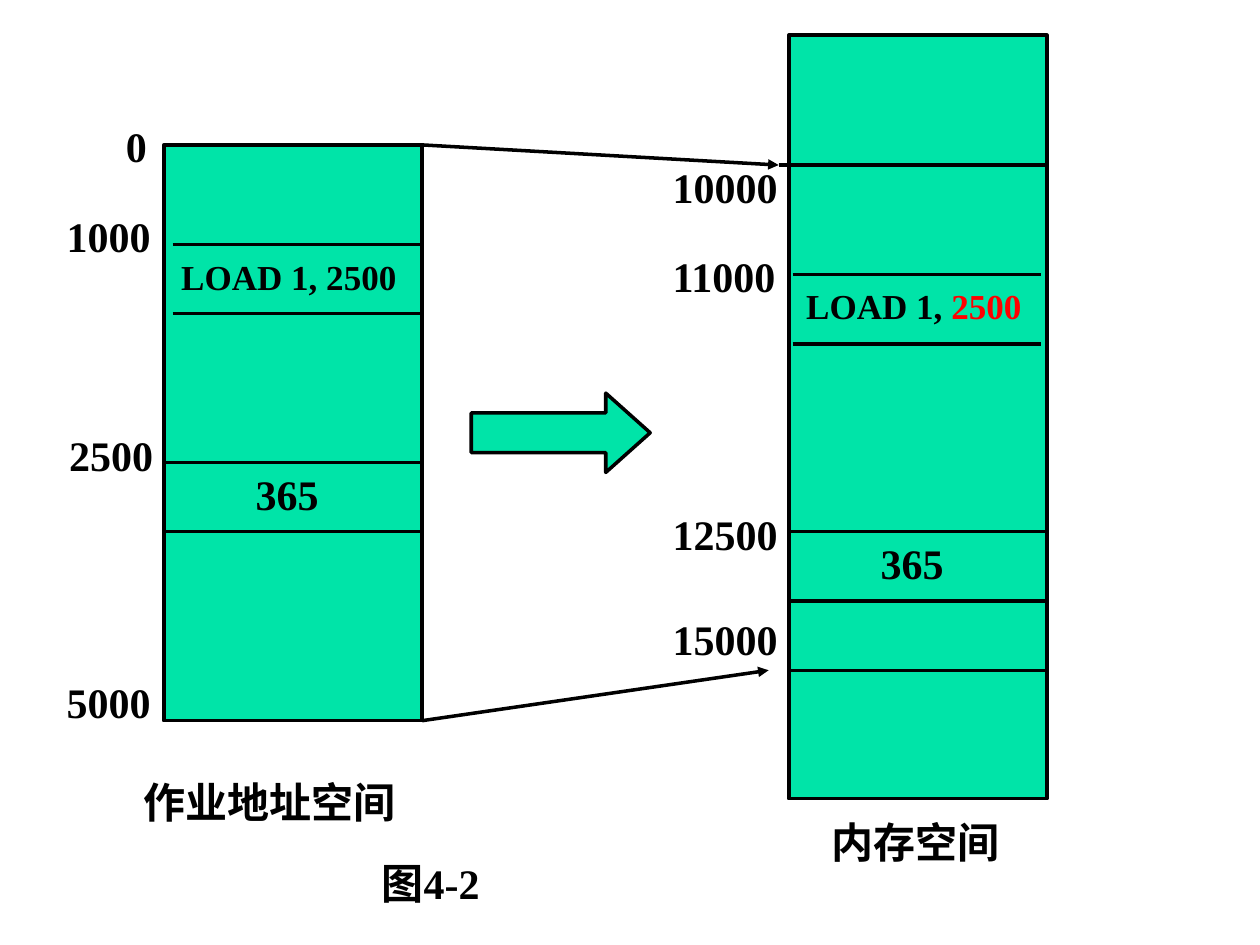
from pptx import Presentation
from pptx import util as u
from pptx.dml.color import RGBColor
from pptx.enum import shapes, text
from pptx.oxml.ns import qn
from lxml import etree

PX = 9144  # EMU per px, 100 px to the inch
FONT = "Times New Roman"
BLACK, GREEN, RED = "000000", "00E4A8", "FF0000"


def px(*values):
    return [u.Emu(v * PX) for v in values]


def color(fmt, value):
    fmt.rgb = RGBColor.from_string(value)


def add_block(s, kind, x, y, w, h):
    sp = s.shapes.add_shape(kind, *px(x, y, w, h))
    sp.shadow.inherit = False
    sp.fill.solid()
    color(sp.fill.fore_color, GREEN)
    color(sp.line.color, BLACK)
    sp.line.width = u.Pt(2)
    return sp


def add_line(s, x1, y1, x2, y2, arrow=False):
    c = s.shapes.add_connector(shapes.MSO_CONNECTOR.STRAIGHT, *px(x1, y1, x2, y2))
    color(c.line.color, BLACK)
    c.line.width = u.Pt(2)
    pr = c._element.spPr
    if arrow:
        etree.SubElement(pr.find(qn("a:ln")), qn("a:tailEnd"), type="triangle")
    etree.SubElement(pr, qn("a:effectLst"))


def add_text(s, runs, x, y, w, h=50, size=24, wrap=False):
    """Add one bold line; runs is a string or a list of (text, colour)."""
    tf = s.shapes.add_textbox(*px(x, y, w, h)).text_frame
    tf.word_wrap = wrap
    tf.auto_size = text.MSO_AUTO_SIZE.SHAPE_TO_FIT_TEXT
    p = tf.paragraphs[0]
    for words, shade in [(runs, BLACK)] if isinstance(runs, str) else runs:
        r = p.add_run()
        r.text = words
        r.font.name, r.font.size, r.font.bold = FONT, u.Pt(size), True
        color(r.font.color, shade)


def add_job_space(s):
    add_block(s, shapes.MSO_SHAPE.RECTANGLE, 130, 115, 205, 457)
    for x, y in [(137, 194), (137, 249), (130, 367), (130, 422)]:
        add_line(s, x, y, 335, y)
    add_text(s, "0", 90, 91, 38)
    for label, x, y in [("1000", 43, 162), ("2500", 45, 336), ("5000", 43, 532)]:
        add_text(s, label, x, y, 93)
    add_text(s, "LOAD 1, 2500", 134, 198, 193, h=44, size=20)
    add_text(s, "365", 193, 367, 75)
    add_text(s, "作业地址空间", 104, 611, 221)


def add_memory_space(s):
    add_block(s, shapes.MSO_SHAPE.RECTANGLE, 626, 28, 205, 606)
    add_line(s, 618, 131, 831, 131)
    for y in (218, 273):
        add_line(s, 629, y, 826, y)
    for y in (422, 477, 532):
        add_line(s, 626, y, 831, y)
    # The last label sits clear above the lower mapping arrow
    for label, y in [("10000", 123), ("11000", 194), ("12500", 399), ("15000", 482)]:
        add_text(s, label, 524, y, 111)
    add_text(s, [("LOAD 1, ", BLACK), ("2500", RED)], 630, 221, 228, h=44, size=20, wrap=True)
    add_text(s, "365", 689, 422, 75)
    add_text(s, "内存空间", 650, 643, 154)


def add_mapping(s):
    add_line(s, 335, 115, 618, 131, arrow=True)
    add_line(s, 335, 572, 610, 532, arrow=True)
    sp = add_block(s, shapes.MSO_SHAPE.RIGHT_ARROW, 374, 312, 142, 63)
    sp.adjustments[0], sp.adjustments[1] = 0.5, 0.56


def main():
    prs = Presentation()
    prs.slide_width, prs.slide_height = px(1000, 750)
    s = prs.slides.add_slide(prs.slide_layouts[6])
    # The two address spaces, then the arrows between them
    add_job_space(s)
    add_memory_space(s)
    add_mapping(s)
    # Figure caption
    add_text(s, "图4-2", 293, 676, 110)
    prs.save("out.pptx")


if __name__ == "__main__":
    main()
